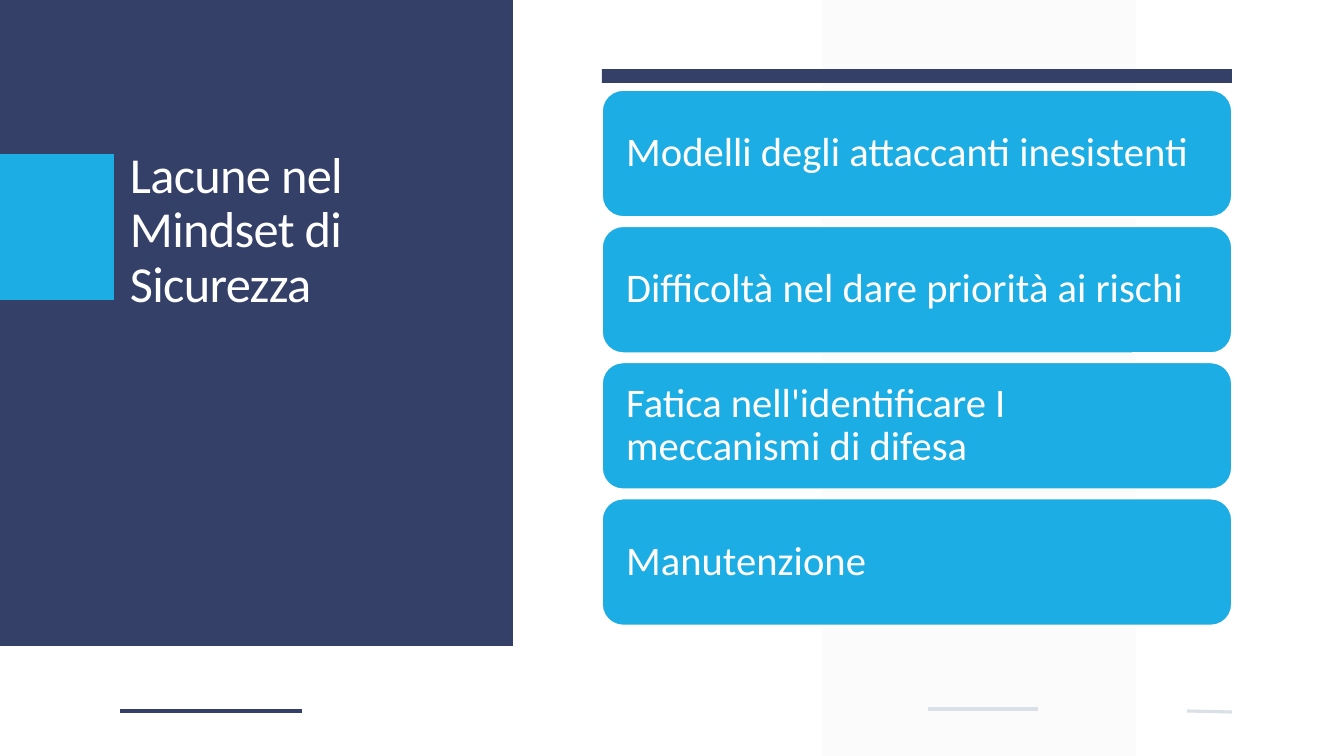
from pptx import Presentation
from pptx import util as u
from pptx.dml.color import RGBColor
from pptx.enum import shapes, text
from pptx.oxml.ns import qn
from lxml import etree

SCALE = 914400 / 100.8
NAVY = RGBColor(0x34, 0x40, 0x68)
CYAN = RGBColor(0x1C, 0xAD, 0xE4)
MIST = RGBColor(0xD9, 0xE0, 0xE6)
PALE = RGBColor(0xF2, 0xF2, 0xF2)
WHITE = RGBColor(0xFF, 0xFF, 0xFF)

CARDS = [
    "Modelli degli\u00a0attaccanti inesistenti",
    "Difficoltà nel\u00a0dare priorità ai rischi",
    "Fatica nell'identificare I meccanismi di difesa\u00a0",
    "Manutenzione",
]
CARD_TOP, CARD_HEIGHT, CARD_STEP = 90, 127, 136.2


def px(*lengths):
    """Turn pixel lengths into EMU."""
    return [u.Emu(round(length * SCALE)) for length in lengths]


def add_block(page, kind, place, fill, line=None):
    """Add a filled preset shape, outlined only when a line colour is given."""
    block = page.shapes.add_shape(kind, *px(*place))
    block.shadow.inherit = False
    block.fill.solid()
    block.fill.fore_color.rgb = fill
    if line is None:
        block.line.fill.background()
    else:
        block.line.color.rgb = line
        block.line.width = u.Pt(1.25)
    return block


def add_rule(page, start, end, color):
    """Add a short straight footer line."""
    rule = page.shapes.add_connector(
        shapes.MSO_CONNECTOR.STRAIGHT, *px(*start, *end))
    rule.line.color.rgb = color
    rule.line.width = u.Pt(2.25)
    etree.SubElement(rule._element.spPr, qn("a:effectLst"))


def write(box, words, *, size, anchor, inset, spacing=None):
    """Fill a shape with one left-aligned white paragraph."""
    frame = box.text_frame
    frame.word_wrap = True
    frame.vertical_anchor = anchor
    frame.margin_left, frame.margin_top = px(*inset)
    frame.margin_right, frame.margin_bottom = px(*inset)
    para = frame.paragraphs[0]
    para.alignment = text.PP_ALIGN.LEFT
    para.line_spacing = 0.9
    span = para.add_run()
    span.text = words
    span.font.name = "Calibri"
    span.font.size = u.Pt(size)
    span.font.color.rgb = WHITE
    if spacing is not None:
        span._r.get_or_add_rPr().set("spc", str(round(spacing * 100)))


def add_backdrop(page):
    """Draw the pale band, the navy panel, the accents and the footer lines."""
    preset = shapes.MSO_SHAPE
    band = add_block(page, preset.PARALLELOGRAM, (822, 0, 314, 756), PALE)
    band.adjustments[0] = 0
    color = band._element.spPr.find(qn("a:solidFill"))[0]
    etree.SubElement(color, qn("a:alpha"), val="30000")
    add_block(page, preset.RECTANGLE, (0, 0, 513, 646), NAVY)
    add_block(page, preset.RECTANGLE, (0, 154, 114, 146), CYAN)
    add_block(page, preset.RECTANGLE, (602, 69, 630, 14), NAVY)
    add_rule(page, (302, 711), (120, 711), NAVY)
    add_rule(page, (1038, 709), (928, 709), MIST)
    add_rule(page, (1232, 712), (1187, 711), MIST)


def add_card(page, index, words):
    """Add one rounded card of the stack."""
    place = (602, CARD_TOP + index * CARD_STEP, 630, CARD_HEIGHT)
    card = add_block(page, shapes.MSO_SHAPE.ROUNDED_RECTANGLE,
                     place, CYAN, line=WHITE)
    write(card, words, size=29, anchor=text.MSO_ANCHOR.MIDDLE, inset=(12, 12))
    card.text_frame.margin_left, card.text_frame.margin_right = px(18, 18)


def main():
    """Build and save the slide."""
    deck = Presentation()
    deck.slide_width, deck.slide_height = px(1344, 756)
    page = deck.slides.add_slide(deck.slide_layouts[6])
    add_backdrop(page)
    title = page.shapes.add_textbox(*px(120, 87, 339, 231))
    write(title, "Lacune nel Mindset di Sicurezza", size=36,
          anchor=text.MSO_ANCHOR.BOTTOM, inset=(10, 5), spacing=-0.5)
    for index, words in enumerate(CARDS):
        add_card(page, index, words)
    deck.save("out.pptx")


main()
